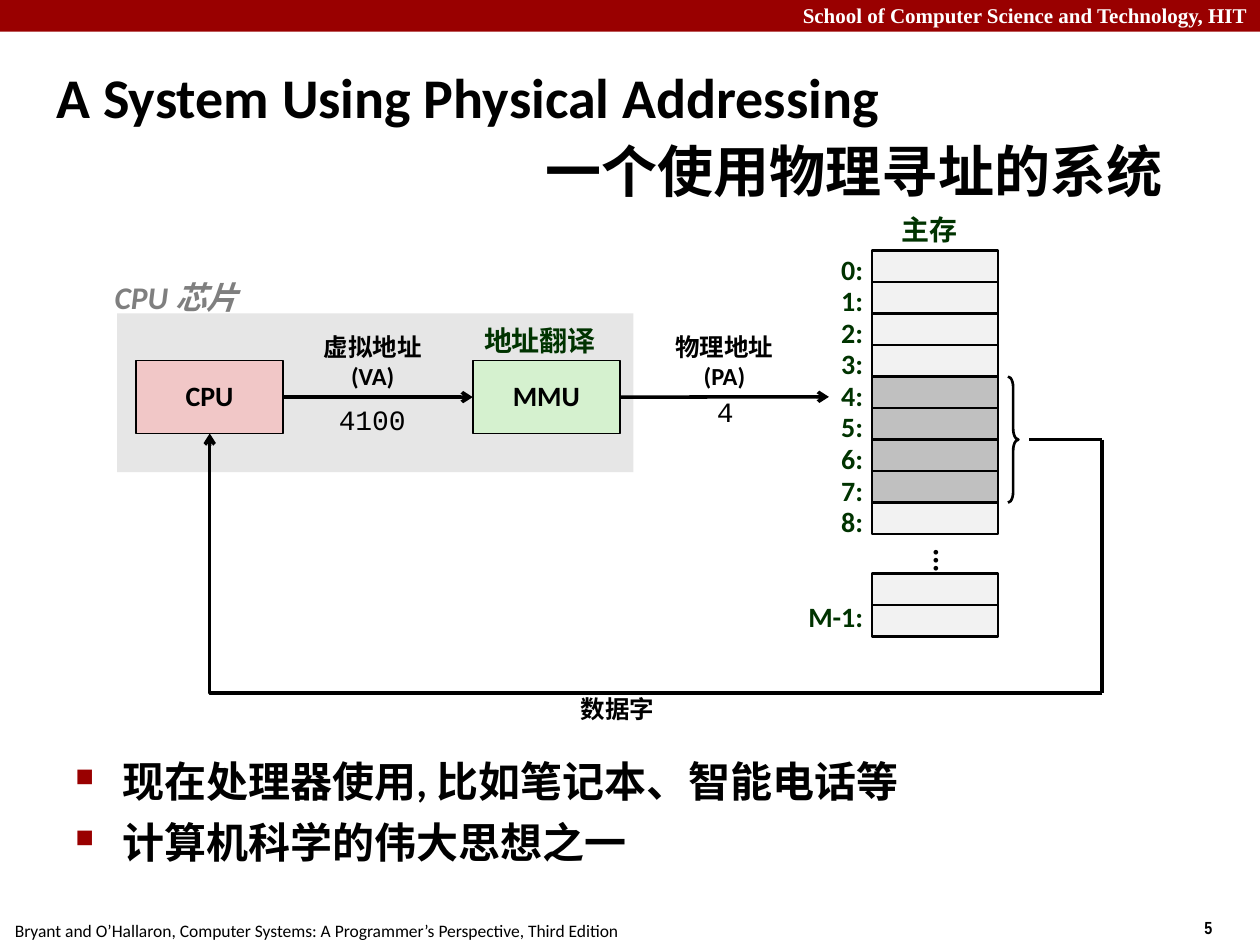
from lxml import etree
from pptx import Presentation
from pptx import util as u
from pptx.dml import color
from pptx.enum import shapes, text
from pptx.oxml import ns

BLACK, WHITE, RED, GREEN = "000000", "FFFFFF", "990000", "003300"
LIGHT, DARK = "F2F2F2", "C0C0C0"
LEFT, CENTER, RIGHT = text.PP_ALIGN.LEFT, text.PP_ALIGN.CENTER, text.PP_ALIGN.RIGHT
TOP, MIDDLE = text.MSO_ANCHOR.TOP, text.MSO_ANCHOR.MIDDLE

# Memory column, in centimetres
CELL_LEFT, CELL_WIDTH, CELL_HEIGHT = 17.58, 2.54, 5.72 / 9
MEMORY_TOP, LAST_CELLS_TOP = 5.05, 11.56
CELL_COUNT, WORD_CELLS = 9, range(4, 8)


def rgb(value):
    return color.RGBColor.from_string(value)


def cm(*lengths):
    return [u.Cm(length) for length in lengths]


def write(shape, lines, size, ink=BLACK, face="Calibri", bold=True, italic=False,
          align=LEFT, anchor=TOP, spacing=None, wrap=False):
    frame = shape.text_frame
    frame.word_wrap = wrap
    frame.auto_size = text.MSO_AUTO_SIZE.NONE
    frame.vertical_anchor = anchor
    frame.text = lines
    for para in frame.paragraphs:
        para.alignment = align
        para.line_spacing = spacing
        font = para.font
        font.size, font.name = u.Pt(size), face
        font.bold, font.italic = bold, italic
        font.color.rgb = rgb(ink)
    return shape


def add_label(page, at, lines, size, **style):
    return write(page.shapes.add_textbox(*cm(*at)), lines, size, **style)


def add_box(page, at, fill, line_width=None):
    box = page.shapes.add_shape(shapes.MSO_SHAPE.RECTANGLE, *cm(*at))
    box.shadow.inherit = False
    box.fill.solid()
    box.fill.fore_color.rgb = rgb(fill)
    if line_width:
        box.line.color.rgb = rgb(BLACK)
        box.line.width = u.Pt(line_width)
    else:
        box.line.fill.background()
    return box


def add_unit(page, left, name, fill):
    box = add_box(page, (left, 7.27, 2.97, 1.47), fill, 1)
    return write(box, name, 16, align=CENTER, anchor=MIDDLE, spacing=0.98)


def add_line(page, start, end, arrow=False, kind=shapes.MSO_CONNECTOR.STRAIGHT):
    line = page.shapes.add_connector(kind, *cm(*start, *end))
    line.line.color.rgb = rgb(BLACK)
    line.line.width = u.Pt(2)
    if arrow:
        etree.SubElement(line.line._get_or_add_ln(), ns.qn("a:tailEnd"), type="arrow")
    etree.SubElement(line._element.spPr, ns.qn("a:effectLst"))
    return line


def add_memory(page):
    label_style = dict(ink=GREEN, align=RIGHT, spacing=0.88)
    for index in range(CELL_COUNT):
        top = MEMORY_TOP + index * CELL_HEIGHT
        fill = DARK if index in WORD_CELLS else LIGHT
        add_box(page, (CELL_LEFT, top, CELL_WIDTH, CELL_HEIGHT), fill, 1.5)
        add_label(page, (16.05, top, 1.6, 0.84), f"{index}:", 16, **label_style)
    for index in range(2):
        top = LAST_CELLS_TOP + index * CELL_HEIGHT
        add_box(page, (CELL_LEFT, top, CELL_WIDTH, CELL_HEIGHT), LIGHT, 1.5)
    add_label(page, (16.05, 12.04, 1.6, 0.84), "M-1:", 16, **label_style)
    add_label(page, (17.93, 4.24, 1.63, 0.84), "主存", 16,
              ink=GREEN, align=CENTER, spacing=0.88)
    dots = add_label(page, (17.78, 10.8, 2.54, 0.64), "...", 18,
                     align=CENTER, anchor=MIDDLE, spacing=0.98)
    dots.text_frame._txBody.bodyPr.set("vert", "eaVert")

    # Brace around the addressed word
    brace_top = MEMORY_TOP + WORD_CELLS.start * CELL_HEIGHT
    brace = page.shapes.add_shape(
        shapes.MSO_SHAPE.RIGHT_BRACE,
        *cm(20.32, brace_top, 0.21, len(WORD_CELLS) * CELL_HEIGHT))
    brace.adjustments[0] = 1.04
    brace.shadow.inherit = False
    brace.fill.background()
    brace.line.color.rgb = rgb(BLACK)
    brace.line.width = u.Pt(1.5)


def add_data_path(page):
    cpu = add_unit(page, 2.74, "CPU", "F1C7C7")
    mmu = add_unit(page, 9.53, "MMU", "D5F1CF")
    virtual = add_line(page, (5.71, 8), (9.53, 8), arrow=True)
    virtual.begin_connect(cpu, 3)
    virtual.end_connect(mmu, 1)
    physical = add_line(page, (12.5, 8), (16.71, 8), arrow=True)
    physical.begin_connect(mmu, 3)

    # Return path of the data word
    add_line(page, (20.75, 8.86), (22.22, 8.86))
    add_line(page, (22.22, 8.86), (22.22, 13.97))
    back = add_line(page, (22.22, 13.97), (4.23, 8.74), arrow=True,
                    kind=shapes.MSO_CONNECTOR.ELBOW)
    back._element.spPr.find(ns.qn("a:prstGeom")).set("prst", "bentConnector2")

    caption = dict(align=CENTER, anchor=MIDDLE, spacing=0.98)
    add_label(page, (6.27, 6.6, 2.49, 1.42), "虚拟地址\n(VA)", 14, **caption)
    add_label(page, (13.36, 6.6, 2.49, 1.42), "物理地址\n(PA)", 14, **caption)
    add_label(page, (11.46, 13.89, 1.98, 0.84), "数据字", 14, **caption)
    add_label(page, (9.5, 6.48, 2.77, 0.84), "地址翻译", 16,
              ink=GREEN, align=CENTER, spacing=0.88)
    add_label(page, (2.06, 5.49, 3.15, 1.02), "CPU 芯片", 18, ink="7F7F7F", italic=True)
    for at, value in (((6.58, 8, 1.85, 0.94), "4100"), ((14.2, 7.82, 0.84, 0.94), "4")):
        add_label(page, at, value, 16, face="Courier New", bold=False)


def add_bullets(page, at, lines):
    box = page.shapes.add_textbox(*cm(*at))
    box.text_frame.text = lines
    for index, para in enumerate(box.text_frame.paragraphs):
        props = para._p.get_or_add_pPr()
        props.set("marL", str(u.Cm(0.95)))
        props.set("indent", str(u.Cm(-0.95)))
        if index:
            para.space_before = u.Pt(6)
        tint = etree.SubElement(props, ns.qn("a:buClr"))
        etree.SubElement(tint, ns.qn("a:srgbClr"), val=RED)
        etree.SubElement(props, ns.qn("a:buSzPct"), val="60000")
        etree.SubElement(props, ns.qn("a:buChar"), char="■")
        para.font.size, para.font.name, para.font.bold = u.Pt(24), "Calibri", True
        para.font.color.rgb = rgb(BLACK)
    box.text_frame.word_wrap = True


def set_title(page):
    title = page.shapes.title
    title.left, title.top, title.width, title.height = cm(0.89, 0.91, 24.21, 3.4)
    write(title, "A System Using Physical Addressing\n一个使用物理寻址的系统", 32,
          anchor=MIDDLE, spacing=1.1, wrap=True)
    second = title.text_frame.paragraphs[1]
    second._p.get_or_add_pPr().set("marL", str(u.Cm(9.86)))


def add_frame(page):
    add_box(page, (0, 0, 25.4, 0.64), RED)
    add_label(page, (0, -0.08, 25.4, 0.76),
              "School of Computer Science and Technology, HIT", 12, ink=WHITE,
              face="Times New Roman", align=RIGHT, wrap=True)
    add_label(page, (0.05, 18.42, 12.73, 0.69),
              "Bryant and O’Hallaron, Computer Systems: "
              "A Programmer’s Perspective, Third Edition", 10, bold=False)
    add_label(page, (24.03, 18.36, 1.3, 0.69), "5", 10, face="Arial Narrow")


def main():
    deck = Presentation()
    deck.slide_width, deck.slide_height = cm(25.4, 19.05)
    page = deck.slides.add_slide(deck.slide_layouts[5])
    add_frame(page)
    set_title(page)
    add_box(page, (2.36, 6.32, 10.41, 3.2), "E6E6E6")  # CPU chip area
    add_memory(page)
    add_data_path(page)
    add_bullets(page, (1.27, 15.11, 23.09, 3.2),
                "现在处理器使用, 比如笔记本、智能电话等\n计算机科学的伟大思想之一")
    deck.save("out.pptx")


if __name__ == "__main__":
    main()
